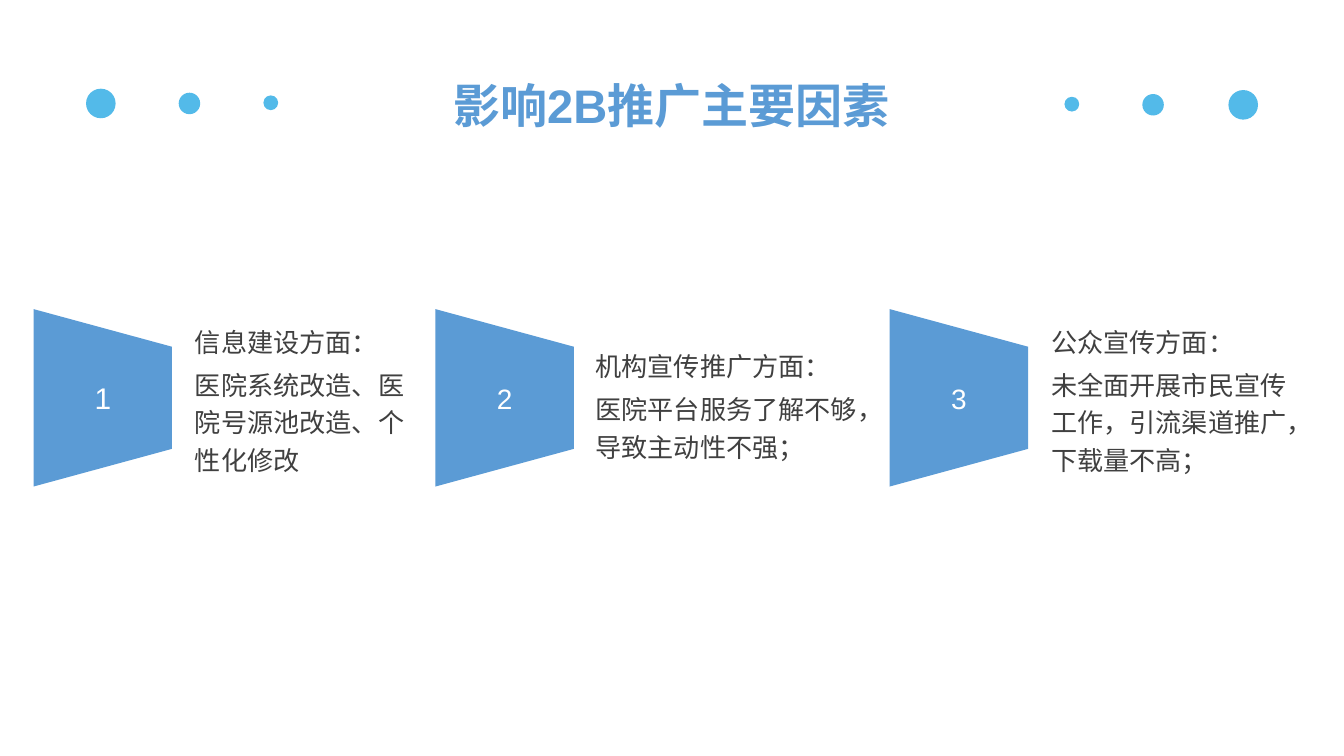
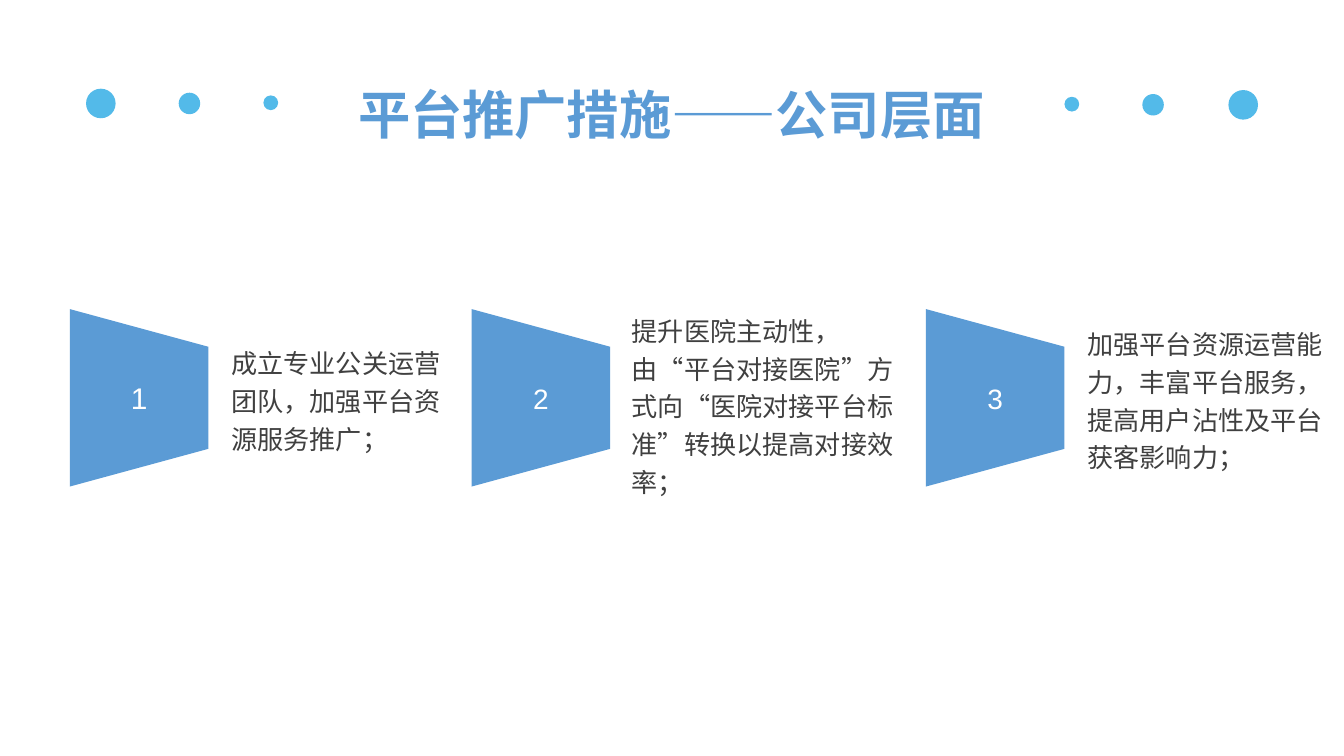
from pptx import Presentation
from pptx.dml.color import RGBColor
from pptx.enum.lang import MSO_LANGUAGE_ID
from pptx.enum.shapes import MSO_SHAPE
from pptx.enum.text import MSO_ANCHOR, MSO_AUTO_SIZE, PP_ALIGN
from pptx.util import Inches, Pt

BLUE = RGBColor(0x5B, 0x9B, 0xD5)
SKY = RGBColor(0x53, 0xBA, 0xE9)
GREY = RGBColor(0x40, 0x40, 0x40)
WHITE = RGBColor(0xFF, 0xFF, 0xFF)
FONT = "Arial"

# Title dots: left, top, diameter
DOTS = [
    (0.64, 0.66, 0.22), (1.33, 0.69, 0.16), (1.96, 0.71, 0.11),
    (7.92, 0.72, 0.11), (8.5, 0.7, 0.16), (9.14, 0.67, 0.22),
]

# Step columns: left of the wedge; left, top and width of the text; number size
STEPS = [
    (0.25, 1.45, 2.3, 1.61, 16),
    (3.24, 4.43, 2.34, 2.08, 15),
    (6.62, 7.82, 2.3, 1.82, 15),
]
WEDGE_TOP, WEDGE_WIDTH, STEP_HEIGHT = 2.3, 1.03, 1.32
WEDGE_SLOPE = 0.28

# Slides: title, title top, title height, title size, column shift, step texts
SLIDES = [
    ("影响2B推广主要因素", 0.48, 0.52, 25.2, 0, [
        ["信息建设方面：", "医院系统改造、医院号源池改造、个性化修改"],
        ["机构宣传推广方面：", "医院平台服务了解不够，导致主动性不强；"],
        ["公众宣传方面：", "未全面开展市民宣传工作，引流渠道推广，下载量不高；"],
    ]),
    ("平台推广措施——公司层面", 0.4, 0.79, 28, 0.27, [
        ["成立专业公关运营团队，加强平台资源服务推广；"],
        ["提升医院主动性，由“平台对接医院”方式向“医院对接平台标准”转换以提高对接效率；"],
        ["加强平台资源运营能力，丰富平台服务，提高用户沾性及平台获客影响力；"],
    ]),
]


def style(para, size, color, bold=False):
    para.font.name = FONT
    para.font.size = Pt(size)
    para.font.bold = bold
    para.font.color.rgb = color
    para.font.language_id = MSO_LANGUAGE_ID.SIMPLIFIED_CHINESE


def set_margins(frame, across, down):
    frame.margin_left = frame.margin_right = Inches(across)
    frame.margin_top = frame.margin_bottom = Inches(down)


def paint(shape, color):
    shape.shadow.inherit = False
    shape.fill.solid()
    shape.fill.fore_color.rgb = color
    shape.line.fill.background()


def add_dots(layout, page):
    """Draw the dots and move them to the layout that all slides share."""
    for number, (left, top, size) in enumerate(DOTS, start=101):
        dot = page.shapes.add_shape(
            MSO_SHAPE.OVAL, Inches(left), Inches(top), Inches(size), Inches(size))
        paint(dot, SKY)
        dot.element.nvSpPr.cNvPr.set("id", str(number))
        layout.shapes.element.append(dot.element)


def set_title(page, text, top, height, size):
    title = page.shapes.title
    title.left, title.top = Inches(2.07), Inches(top)
    title.width, title.height = Inches(5.85), Inches(height)
    frame = title.text_frame
    frame.text = text
    frame.word_wrap = True
    frame.auto_size = MSO_AUTO_SIZE.NONE
    frame.vertical_anchor = MSO_ANCHOR.MIDDLE
    set_margins(frame, 0.07, 0.04)
    para = frame.paragraphs[0]
    para.alignment = PP_ALIGN.CENTER
    para.line_spacing = 1.2
    style(para, size, BLUE, bold=True)


def add_wedge(page, left, number, size):
    right, bottom = left + WEDGE_WIDTH, WEDGE_TOP + STEP_HEIGHT
    outline = page.shapes.build_freeform(Inches(left), Inches(WEDGE_TOP))
    outline.add_line_segments([
        (Inches(right), Inches(WEDGE_TOP + WEDGE_SLOPE)),
        (Inches(right), Inches(bottom - WEDGE_SLOPE)),
        (Inches(left), Inches(bottom)),
    ], close=True)
    wedge = outline.convert_to_shape()
    paint(wedge, BLUE)
    frame = wedge.text_frame
    frame.text = str(number)
    frame.vertical_anchor = MSO_ANCHOR.MIDDLE
    para = frame.paragraphs[0]
    para.alignment = PP_ALIGN.CENTER
    style(para, size, WHITE)


def add_step_text(page, left, top, width, lines):
    box = page.shapes.add_textbox(
        Inches(left), Inches(top), Inches(width), Inches(STEP_HEIGHT))
    frame = box.text_frame
    frame.word_wrap = True
    frame.vertical_anchor = MSO_ANCHOR.MIDDLE
    set_margins(frame, 0, 0)
    frame.text = "\n".join(lines)
    for index, para in enumerate(frame.paragraphs):
        para.line_spacing = 1.2
        para.space_before = Pt(2.8 if index else 0)
        style(para, 14, GREY)


def main():
    # Widescreen page, 16:9
    deck = Presentation()
    deck.slide_width = Inches(10)
    deck.slide_height = deck.slide_width * 9 // 16
    layout = deck.slide_layouts.get_by_name("Title Only")

    for title, top, height, size, shift, texts in SLIDES:
        page = deck.slides.add_slide(layout)
        set_title(page, title, top, height, size)
        columns = zip(STEPS, texts)
        for number, (step, lines) in enumerate(columns, start=1):
            wedge_left, text_left, text_top, width, number_size = step
            add_step_text(page, text_left + shift, text_top, width, lines)
            add_wedge(page, wedge_left + shift, number, number_size)

    add_dots(layout, deck.slides[0])
    deck.save("out.pptx")


if __name__ == "__main__":
    main()
